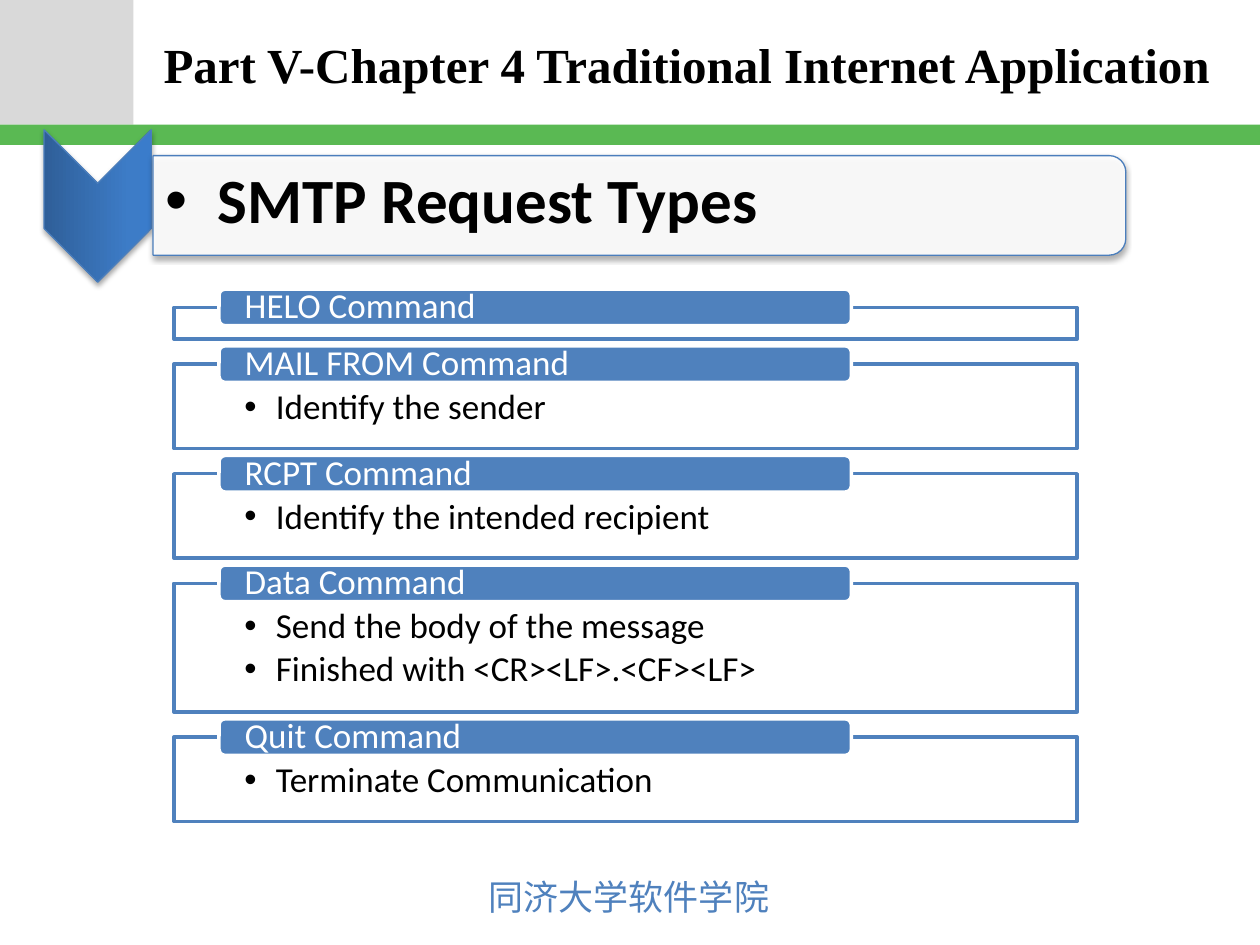
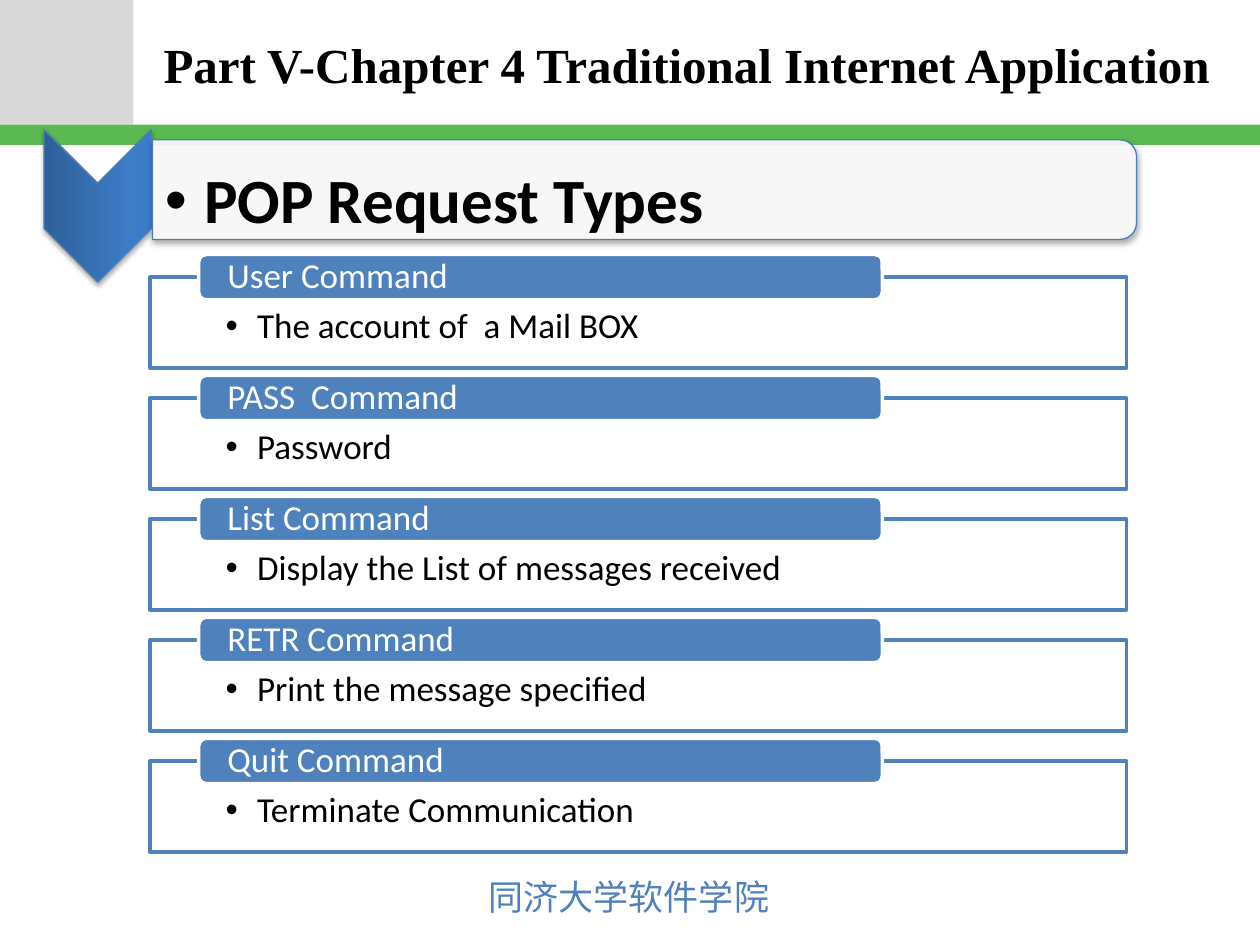
"""Builds two slides listing the SMTP and POP request types."""
from lxml import etree
from pptx import Presentation
from pptx.dml.color import RGBColor
from pptx.enum.shapes import MSO_SHAPE
from pptx.enum.text import MSO_ANCHOR, PP_ALIGN
from pptx.oxml import parse_xml
from pptx.oxml.ns import nsdecls, qn
from pptx.util import Inches, Pt

RECT, ROUNDED = MSO_SHAPE.RECTANGLE, MSO_SHAPE.ROUNDED_RECTANGLE
CHEVRON, ROUNDED_TOP = MSO_SHAPE.CHEVRON, MSO_SHAPE.ROUND_2_SAME_RECTANGLE
MIDDLE, TOP, LEFT = MSO_ANCHOR.MIDDLE, MSO_ANCHOR.TOP, PP_ALIGN.LEFT
COLORS = {"grey": "D9D9D9", "green": "5AB953", "blue": "4F81BD", "edge": "4B7EBC",
          "white": "FFFFFF", "black": "000000",
          "dark": "2F5F99", "bright": "3D7CC7", "end": "3A7CCB"}
CJK_FONT = "Noto Sans CJK JP"
CHAPTER = "Part V-Chapter 4 Traditional Internet Application"
SCHOOL = "同济大学软件学院"

SLIDES = [
    {"heading": "SMTP Request Types", "hanging": 0.42, "banner": (4.68, -2.23, 7.72),
     "left": 1.38, "top": 2.44, "width": 7.17, "gap": 0.2, "tab_height": 0.29,
     "insets": (0.56, 0.2, 0.56, 0.16), "tab_inset": 0.19,
     "commands": [("HELO Command", 0.25, []),
                  ("MAIL FROM Command", 0.67, ["Identify the sender"]),
                  ("RCPT Command", 0.67, ["Identify the intended recipient"]),
                  ("Data Command", 1.02, ["Send the body of the message",
                                          "Finished with <CR><LF>.<CF><LF>"]),
                  ("Quit Command", 0.67, ["Terminate Communication"])]},
    {"heading": "POP Request Types", "hanging": 0.31, "banner": (4.72, -2.4, 7.81),
     "left": 1.19, "top": 2.2, "width": 7.75, "gap": 0.24, "tab_height": 0.36,
     "insets": (0.6, 0.25, 0.6, 0.16), "tab_inset": 0.21,
     "commands": [("User Command", 0.72, ["The account of  a Mail BOX"]),
                  ("PASS  Command", 0.72, ["Password"]),
                  ("List Command", 0.72, ["Display the List of messages received"]),
                  ("RETR Command", 0.72, ["Print the message specified"]),
                  ("Quit Command", 0.72, ["Terminate Communication"])]},
]


def add_block(slide, kind, box, fill, line=None, line_width=2, alpha=None, shadow=False):
    block = slide.shapes.add_shape(kind, *[Inches(v) for v in box])
    block.shadow.inherit = False
    block.fill.solid()
    block.fill.fore_color.rgb = RGBColor.from_string(COLORS[fill])
    if alpha:
        color = block.fill._xPr.find(qn("a:solidFill"))[0]
        etree.SubElement(color, qn("a:alpha"), val=str(alpha * 1000))
    if line:
        block.line.color.rgb = RGBColor.from_string(COLORS[line])
        block.line.width = Pt(line_width)
    else:
        block.line.fill.background()
    if shadow:
        block._element.spPr.find(qn("a:effectLst")).append(parse_xml(
            f'<a:outerShdw {nsdecls("a")} blurRad="{Pt(3.1)}" dist="{Pt(1.8)}" '
            f'dir="5400000" rotWithShape="0"><a:srgbClr val="{COLORS["black"]}">'
            '<a:alpha val="35000"/></a:srgbClr></a:outerShdw>'))
    return block


def write(holder, lines, size, color, font="Calibri", bold=False, anchor=MIDDLE,
          insets=(0.1, 0.05, 0.1, 0.05), wrap=True, hanging=0, spacing=None, after=0):
    frame = holder.text_frame
    frame.word_wrap = wrap
    frame.vertical_anchor = anchor
    (frame.margin_left, frame.margin_top,
     frame.margin_right, frame.margin_bottom) = [Inches(v) for v in insets]
    for number, text in enumerate(lines):
        paragraph = frame.add_paragraph() if number else frame.paragraphs[0]
        paragraph.text = text
        paragraph.alignment = LEFT
        if spacing:
            paragraph.line_spacing = spacing
            paragraph.space_after = Pt(after)
        if hanging:
            properties = paragraph._p.get_or_add_pPr()
            properties.set("marL", str(Inches(hanging)))
            properties.set("indent", str(-Inches(hanging)))
            etree.SubElement(properties, qn("a:buFont"), typeface="Arial")
            etree.SubElement(properties, qn("a:buChar"), char="•")
        paragraph.font.size = Pt(size)
        paragraph.font.bold = bold
        paragraph.font.name = font
        paragraph.font.color.rgb = RGBColor.from_string(COLORS[color])
        if font == CJK_FONT:
            etree.SubElement(paragraph.font._element, qn("a:ea"), typeface=font)


deck = Presentation()
deck.slide_width, deck.slide_height = Inches(10), Inches(7.5)

for content in SLIDES:
    slide = deck.slides.add_slide(deck.slide_layouts[6])
    add_block(slide, RECT, (0, 0, 1.06, 0.99), "grey")
    add_block(slide, RECT, (0, 0.99, 10, 0.16), "green")
    footer = slide.shapes.add_textbox(Inches(3.78), Inches(6.9), Inches(2.45), Inches(0.44))
    write(footer, [SCHOOL], 20, "blue", CJK_FONT, anchor=TOP, wrap=False)
    title = slide.shapes.add_textbox(Inches(1.2), Inches(0.02), Inches(8.6), Inches(0.98))
    write(title, [CHAPTER], 28, "black", "Times New Roman", bold=True)

    chevron = add_block(slide, CHEVRON, (0.17, 1.21, 1.21, 0.85), "dark", "edge", 0.75,
                        shadow=True)
    chevron.rotation = 90
    stops = "".join(f'<a:gs pos="{position}"><a:srgbClr val="{COLORS[name]}"/></a:gs>'
                    for position, name in [(0, "dark"), (80000, "bright"), (100000, "end")])
    chevron_properties = chevron._element.spPr
    chevron_properties.replace(chevron_properties.find(qn("a:solidFill")), parse_xml(
        f'<a:gradFill {nsdecls("a")} rotWithShape="1"><a:gsLst>{stops}</a:gsLst>'
        '<a:lin ang="16200000" scaled="0"/></a:gradFill>'))

    banner_left, banner_top, banner_length = content["banner"]
    banner = add_block(slide, ROUNDED_TOP, (banner_left, banner_top, 0.79, banner_length),
                       "white", "edge", 0.75, alpha=90, shadow=True)
    banner.rotation = 90
    heading = slide.shapes.add_textbox(Inches(1.06), Inches(1.26),
                                       Inches(banner_length - 0.04), Inches(0.71))
    write(heading, [content["heading"]], 36, "black", bold=True,
          insets=(0.25, 0.02, 0.02, 0.02), hanging=content["hanging"], spacing=0.9, after=5.4)

    left, top, width = content["left"], content["top"], content["width"]
    tab_height, tab_inset = content["tab_height"], content["tab_inset"]
    for command, height, details in content["commands"]:
        panel = add_block(slide, RECT, (left, top, width, height), "white", "blue", alpha=90)
        if details:
            write(panel, details, 20, "black", anchor=TOP, insets=content["insets"],
                  hanging=0.25, spacing=0.9, after=3)
        tab = add_block(slide, ROUNDED, (left + 0.05 * width, top - tab_height / 2,
                                         0.7 * width, tab_height), "blue", "white")
        write(tab, [command], 20, "white", insets=(tab_inset, 0, tab_inset, 0),
              spacing=0.9, after=7)
        top += height + content["gap"]

deck.save("out.pptx")
